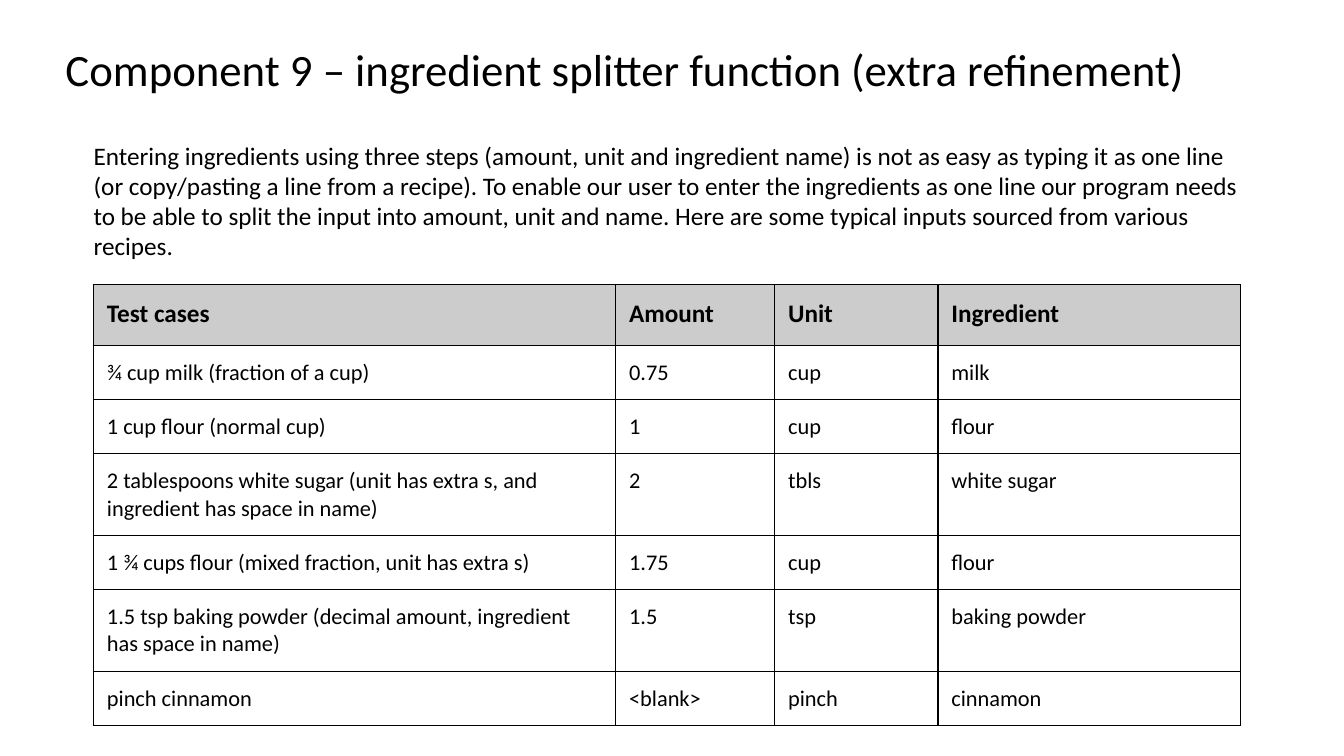
from lxml import etree
from pptx import Presentation
from pptx import util as u
from pptx.dml import color
from pptx.enum import text
from pptx.oxml import ns

TITLE = "Component 9 – ingredient splitter function (extra refinement)"
INTRO = (
    "Entering ingredients using three steps (amount, unit and ingredient name) "
    "is not as easy as typing it as one line (or copy/pasting a line from a "
    "recipe). To enable our user to enter the ingredients as one line our "
    "program needs to be able to split the input into amount, unit and name. "
    "Here are some typical inputs sourced from various recipes."
)
CASES = [
    ("Test cases", "Amount", "Unit", "Ingredient"),
    ("¾ cup milk (fraction of a cup)", "0.75", "cup", "milk"),
    ("1 cup flour (normal cup)", "1", "cup", "flour"),
    ("2 tablespoons white sugar (unit has extra s, and ingredient has space in name)",
     "2", "tbls", "white sugar"),
    ("1 ¾ cups flour (mixed fraction, unit has extra s)", "1.75", "cup", "flour"),
    ("1.5 tsp baking powder (decimal amount, ingredient has space in name)",
     "1.5", "tsp", "baking powder"),
    ("pinch cinnamon", "<blank>", "pinch", "cinnamon"),
]
BLACK, WHITE, GREY = "000000", "FFFFFF", "CCCCCC"
SIDES = "left", "right", "top", "bottom"


def rgb(code):
    return color.RGBColor.from_string(code)


def apply(item, style):
    for key, value in style.items():
        setattr(item, key, value)


class Page:
    face = "Calibri"
    ink = BLACK
    inset = 9.6

    def __init__(self, deck):
        self.slide = deck.slides.add_slide(deck.slide_layouts[6])

    def pad(self, item):
        apply(item, {f"margin_{side}": u.Pt(self.inset) for side in SIDES})

    def words(self, frame, words, size, bold=False, space=None):
        para = frame.paragraphs[0]
        para.line_spacing = space
        run = para.add_run()
        run.text = words
        apply(run.font, {"name": self.face, "size": u.Pt(size), "bold": bold})
        run.font.color.rgb = rgb(self.ink)

    def label(self, words, area, size, fit, space=None, pad=False):
        box = self.slide.shapes.add_textbox(*map(u.Pt, area))
        frame = box.text_frame
        apply(frame, {"word_wrap": True, "auto_size": fit,
                      "vertical_anchor": text.MSO_ANCHOR.TOP})
        if pad:
            self.pad(frame)
        self.words(frame, words, size, space=space)

    def edge(self, cell):
        props = cell._tc.get_or_add_tcPr()
        for spot, side in enumerate("LRTB"):
            line = etree.Element(ns.qn(f"a:ln{side}"), w=str(u.Pt(1)))
            fill = etree.SubElement(line, ns.qn("a:solidFill"))
            etree.SubElement(fill, ns.qn("a:srgbClr"), val=self.ink)
            props.insert(spot, line)

    def table(self, rows, area, widths, head, body):
        grid = self.slide.shapes.add_table(
            len(rows), len(widths), *map(u.Pt, area)).table
        for col, width in zip(grid.columns, widths):
            col.width = u.Pt(width)
        for top, (row, words) in enumerate(zip(grid.rows, rows)):
            first = top == 0
            row.height = u.Pt(head if first else body)
            for cell, word in zip(row.cells, words):
                self.pad(cell)
                cell.fill.solid()
                cell.fill.fore_color.rgb = rgb(GREY if first else WHITE)
                self.words(cell.text_frame, word, 18 if first else 16, first)
                self.edge(cell)


def main():
    deck = Presentation()
    apply(deck, {"slide_width": u.Pt(960), "slide_height": u.Pt(540)})
    page = Page(deck)
    page.label(TITLE, (37.2, 24.5, 878.4, 60.5), 32,
               text.MSO_AUTO_SIZE.NONE, 0.9, True)
    page.table(CASES, (66.8, 203.5, 819.2, 268), (373, 113.6, 116.6, 216),
               43.2, 37.4)
    page.label(INTRO, (59.8, 96.5, 832.3, 94.3), 18,
               text.MSO_AUTO_SIZE.SHAPE_TO_FIT_TEXT)
    deck.save("out.pptx")


if __name__ == "__main__":
    main()
